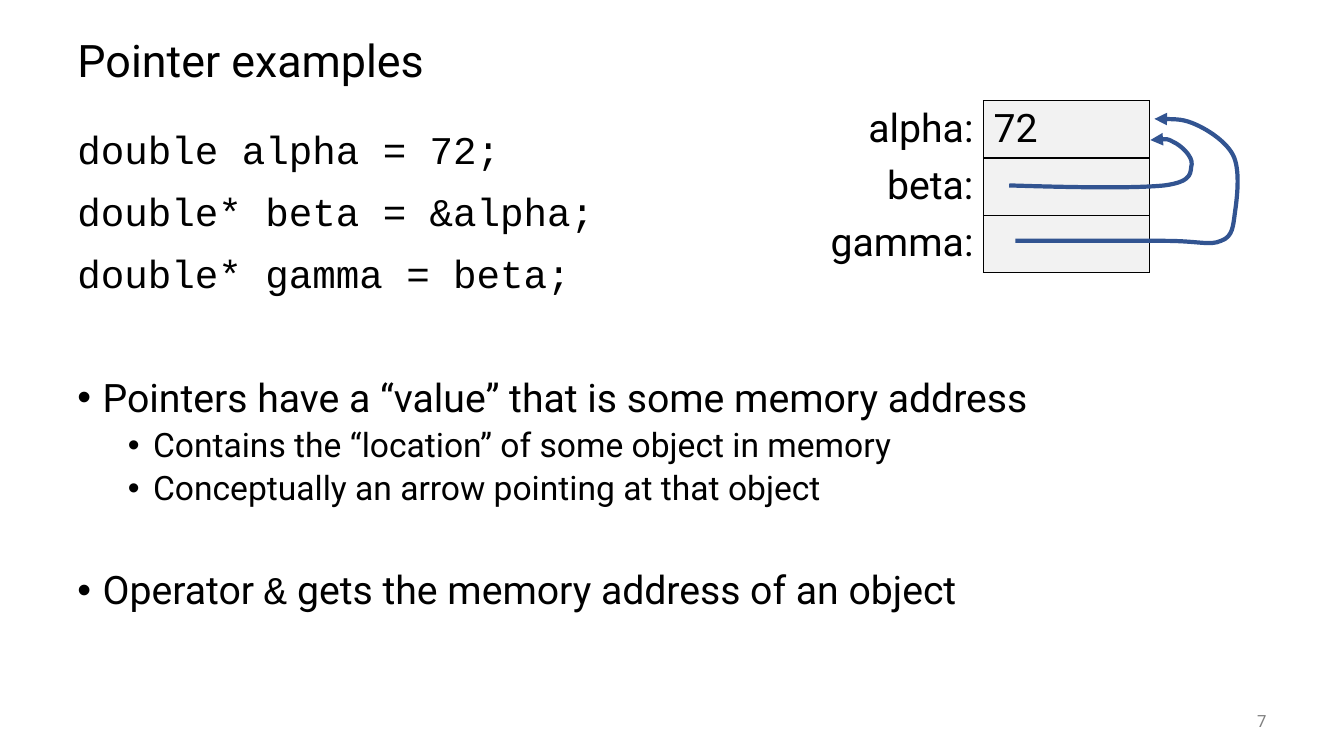
from lxml import etree
from pptx import Presentation, util as u
from pptx.dml.color import RGBColor
from pptx.enum import text
from pptx.oxml import ns, parse_xml

BLACK = RGBColor(0x00, 0x00, 0x00)
GRAY = RGBColor(0x80, 0x80, 0x80)
CELL = RGBColor(0xF2, 0xF2, 0xF2)
BLUE = RGBColor(0x32, 0x54, 0x91)
SANS, MONO = "Roboto", "Courier New"


def write(para, pieces, size, color=BLACK, **layout):
    for name, value in layout.items():
        setattr(para, name, value)
    for words, face in pieces:
        span = para.add_run()
        span.text = words
        for name, value in {"name": face, "size": u.Pt(size)}.items():
            setattr(span.font, name, value)
        span.font.color.rgb = color


def add_box(left, top, width, height, anchor):
    frame = page.shapes.add_textbox(*map(u.Inches, (left, top, width, height))).text_frame
    frame.word_wrap = True
    frame.vertical_anchor = anchor
    return frame


deck = Presentation()
deck.slide_width, deck.slide_height = u.Inches(13.33), u.Inches(7.5)
page = deck.slides.add_slide(deck.slide_layouts[6])

title = add_box(0.67, 0.25, 12, 0.75, text.MSO_ANCHOR.MIDDLE)
write(title.paragraphs[0], [("Pointer examples", SANS)], 32, line_spacing=0.9)

body = add_box(0.67, 1.25, 12, 5.5, text.MSO_ANCHOR.TOP)
body_lines = [
    ([("double alpha = 72;", MONO)], 28, 0, 0),
    ([("double* beta = &alpha;", MONO)], 28, 14, 0),
    ([("double* gamma = beta;", MONO)], 28, 14, 0),
    ([("Pointers have a “value” that is some memory address", SANS)], 28, 58, 0.25),
    ([("Contains the “location” of some object in memory", SANS)], 24, 5.7, 0.75),
    ([("Conceptually an arrow pointing at that object", SANS)], 24, 5, 0.75),
    ([("Operator ", SANS), ("&", MONO), (" gets the memory address of an object", SANS)],
     28, 44.7, 0.25),
]
for index, (pieces, size, before, indent) in enumerate(body_lines):
    para = body.add_paragraph() if index else body.paragraphs[0]
    if indent:
        props = para._p.get_or_add_pPr()
        props.set("marL", str(u.Inches(indent)))
        props.set("indent", str(u.Inches(-0.25)))
        etree.SubElement(props, ns.qn("a:buFont")).set("typeface", "Arial")
        etree.SubElement(props, ns.qn("a:buChar")).set("char", "•")
    write(para, pieces, size, line_spacing=0.9, space_before=u.Pt(before),
          level=int(indent > 0.5))

number = add_box(11.66, 6.95, 1, 0.4, text.MSO_ANCHOR.MIDDLE)
write(number.paragraphs[0], [("7", SANS)], 12, GRAY, alignment=text.PP_ALIGN.RIGHT)

variables = [("alpha:", "72"), ("beta:", ""), ("gamma:", "")]
memory = page.shapes.add_table(3, 2, *map(u.Inches, (8.11, 1, 3.29, 1.7))).table
memory.first_row = memory.horz_banding = False
for column in memory.columns:
    column.width = u.Inches(1.645)
for row, (label, value) in enumerate(variables):
    memory.rows[row].height = u.Inches(0.41)
    for col, words in enumerate((label, value)):
        cell = memory.cell(row, col)
        for side in ("LRTB" if col else "R"):
            cell._tc.get_or_add_tcPr().append(parse_xml(
                f'<a:ln{side} {ns.nsdecls("a")} w="12700"><a:solidFill>'
                f'<a:srgbClr val="{BLACK}"/></a:solidFill></a:ln{side}>'))
        if col:
            cell.fill.solid()
            cell.fill.fore_color.rgb = CELL
        else:
            cell.fill.background()
        align = text.PP_ALIGN.LEFT if col else text.PP_ALIGN.RIGHT
        write(cell.text_frame.paragraphs[0], [(words, SANS)] if words else [], 28,
              alignment=align)

beta_arrow = [
    (10.01, 1.84), (10.63, 1.86), (11.25, 1.87), (11.55, 1.84),
    (11.85, 1.8), (11.8, 1.7), (11.82, 1.63), (11.83, 1.55), (11.71, 1.44),
    (11.64, 1.41), (11.57, 1.37), (11.49, 1.38), (11.41, 1.39),
]
gamma_arrow = [
    (10.07, 2.39), (11.55, 2.39),
    (11.89, 2.39), (12, 2.44), (12.11, 2.39), (12.23, 2.35), (12.23, 2.24),
    (12.25, 2.1), (12.27, 1.96), (12.3, 1.71), (12.24, 1.56),
    (12.18, 1.42), (12, 1.3), (11.87, 1.24), (11.74, 1.18), (11.6, 1.18), (11.45, 1.18),
]
for knots, straight in ((beta_arrow, 0), (gamma_arrow, 1)):
    start, *rest = [tuple(map(u.Inches, knot)) for knot in knots]
    builder = page.shapes.build_freeform(*start)
    builder.add_line_segments(rest, close=False)
    arrow = builder.convert_to_shape()
    segments = list(arrow._element.iter(ns.qn("a:lnTo")))[straight:]
    for first in range(0, len(segments), 3):
        curve = etree.Element(ns.qn("a:cubicBezTo"))
        segments[first].addprevious(curve)
        for segment in segments[first:first + 3]:
            curve.append(segment[0])
            segment.getparent().remove(segment)
    arrow.shadow.inherit = False
    arrow.fill.background()
    arrow.line.color.rgb = BLUE
    arrow.line.width = u.Pt(3)
    etree.SubElement(arrow.line._get_or_add_ln(), ns.qn("a:tailEnd")).set("type", "triangle")

deck.save("out.pptx")
